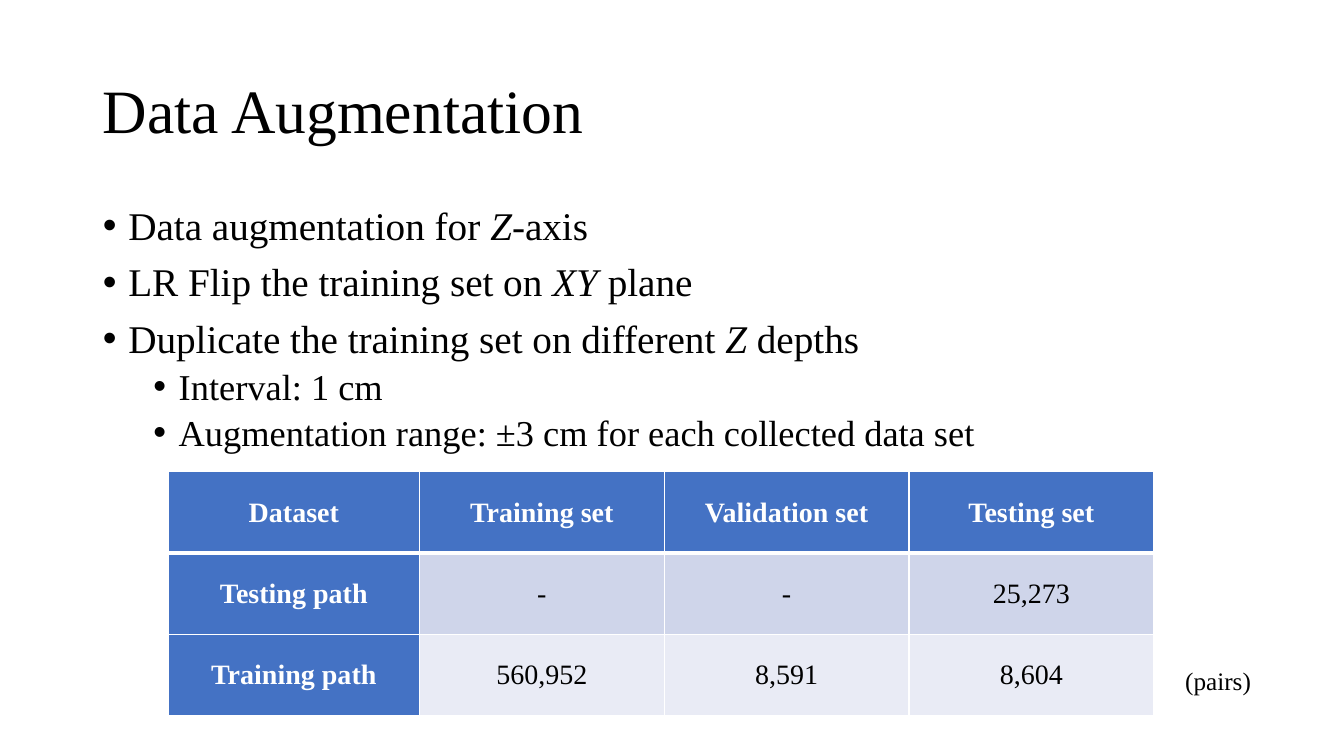
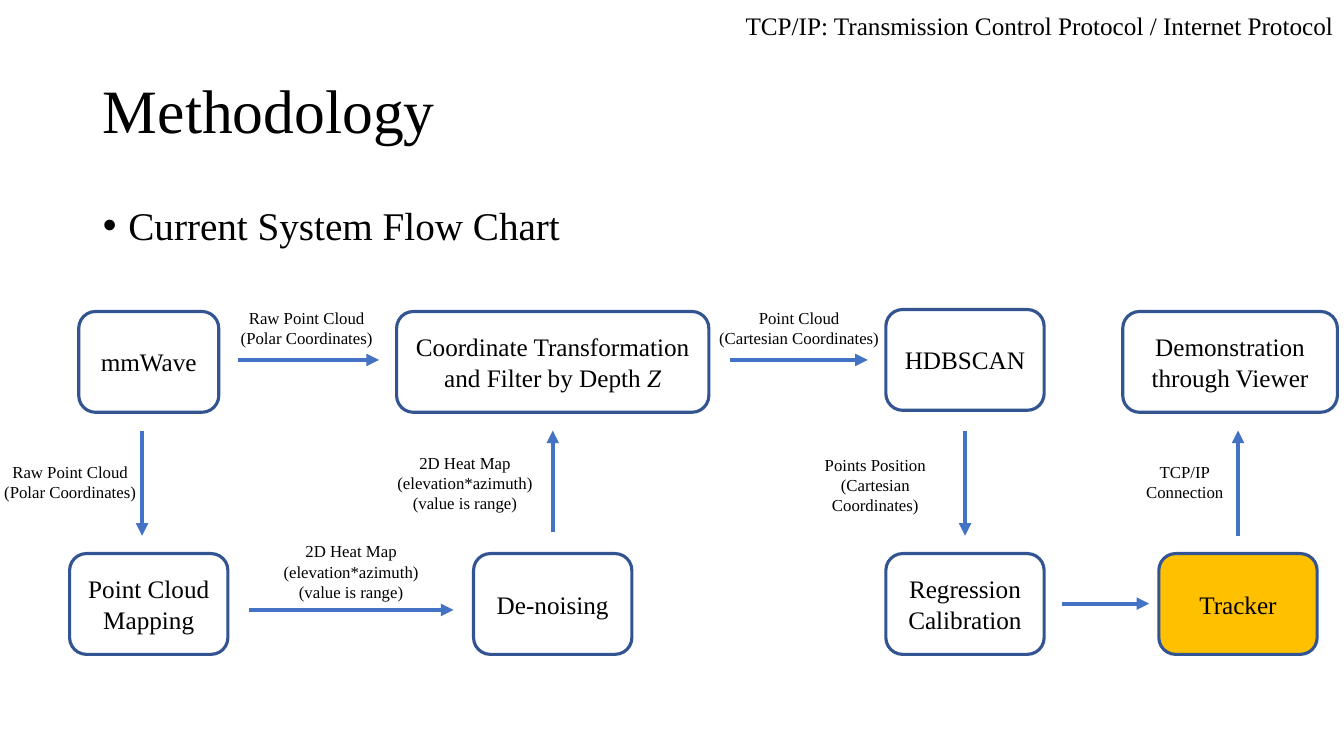
from lxml.etree import SubElement
from pptx import Presentation
from pptx.dml.color import RGBColor
from pptx.enum.shapes import MSO_CONNECTOR, MSO_SHAPE
from pptx.enum.text import MSO_ANCHOR, MSO_AUTO_SIZE, PP_ALIGN
from pptx.oxml.ns import qn
from pptx.util import Cm, Pt

FONT = "Times New Roman"
BLACK, WHITE = "000000", "FFFFFF"
BLUE, NAVY, GOLD = "4472C4", "325491", "FFC000"
BANDS = ["CFD5EA", "E9EBF5"]
TITLE_BOX = (2.34, 1.02, 29.21, 3.68)
BODY_BOX = (2.34, 5.08, 29.21, 12.09)
TABLE_BOX = (4.24, 11.89, 24.84, 6.15)
FLOW_BOX = (1.75, 7.8, 32, 8.7)
LEVELS = [(28, 0.64, 10), (26, 1.91, 5)]


def rgb(value):
    """Turn a hex string into a colour."""
    return RGBColor.from_string(value)


def cm(*values):
    """Turn centimetre numbers into lengths."""
    return [Cm(v) for v in values]


def write(p, text, size, color=BLACK, bold=False):
    """Add text as runs, with the parts between underscores in italics."""
    for i, part in enumerate(text.split("_")):
        if part:
            r = p.add_run()
            r.text = part
            font = r.font
            font.name, font.size = FONT, Pt(size)
            font.bold, font.italic = bold, i % 2 == 1
            font.color.rgb = rgb(color)


def write_lines(tf, lines, size, align=PP_ALIGN.CENTER):
    """Fill a text frame with one paragraph per line."""
    tf.word_wrap = True
    tf.vertical_anchor = MSO_ANCHOR.MIDDLE
    for i, line in enumerate(lines):
        p = tf.add_paragraph() if i else tf.paragraphs[0]
        p.alignment = align
        write(p, line, size)


def place(sp, box):
    """Move a placeholder to its box and fix its text size."""
    sp.left, sp.top, sp.width, sp.height = cm(*box)
    tf = sp.text_frame
    tf.word_wrap, tf.auto_size = True, MSO_AUTO_SIZE.NONE
    return tf


def add_title(s, text):
    """Fill the title placeholder."""
    tf = place(s.shapes.title, TITLE_BOX)
    tf.vertical_anchor = MSO_ANCHOR.MIDDLE
    p = tf.paragraphs[0]
    p.alignment, p.line_spacing = PP_ALIGN.LEFT, 0.9
    write(p, text, 44)


def add_bullets(s, items):
    """Fill the body placeholder with a list of (level, text) items."""
    tf = place(s.placeholders[1], BODY_BOX)
    for i, (level, text) in enumerate(items):
        size, indent, before = LEVELS[level]
        p = tf.add_paragraph() if i else tf.paragraphs[0]
        p.level, p.line_spacing = level, 0.9
        p.space_before = Pt(before if i else 0)
        pPr = p._p.get_or_add_pPr()
        pPr.set("marL", str(Cm(indent)))
        pPr.set("indent", str(-Cm(0.64)))
        SubElement(pPr, qn("a:buFont"), typeface="Arial")
        SubElement(pPr, qn("a:buChar"), char="•")
        write(p, text, size)


def content_slide(prs, title, items):
    """Add a slide with a title and a bulleted list."""
    s = prs.slides.add_slide(prs.slide_layouts[1])
    add_title(s, title)
    add_bullets(s, items)
    return s


def add_text(s, box, lines, size, align=PP_ALIGN.LEFT):
    """Add a text box."""
    sp = s.shapes.add_textbox(*cm(*box))
    write_lines(sp.text_frame, lines, size, align)


def add_borders(cell, row):
    """Draw white cell borders, thicker below the header row."""
    tcPr = cell._tc.get_or_add_tcPr()
    for i, side in enumerate("LRTB"):
        thick = (row, side) in [(0, "B"), (1, "T")]
        ln = SubElement(tcPr, qn(f"a:ln{side}"), w=str(Pt(3 if thick else 1)))
        fill = SubElement(ln, qn("a:solidFill"))
        SubElement(fill, qn("a:srgbClr"), val=WHITE)
        tcPr.insert(i, ln)


def add_data_table(s, box, rows):
    """Add a table with a header row, a header column and banded rows."""
    first = 6.33
    count = len(rows[0])
    table = s.shapes.add_table(len(rows), count, *cm(*box)).table
    for c, column in enumerate(table.columns):
        column.width = Cm((box[2] - first) / (count - 1) if c else first)
    for r, values in enumerate(rows):
        table.rows[r].height = Cm(box[3] / len(rows))
        for c, value in enumerate(values):
            header = r == 0 or c == 0
            cell = table.cell(r, c)
            cell.fill.solid()
            cell.fill.fore_color.rgb = rgb(BLUE if header else BANDS[(r - 1) % 2])
            cell.vertical_anchor = MSO_ANCHOR.MIDDLE
            cell.margin_left = cell.margin_right = Cm(0.3)
            cell.margin_top = cell.margin_bottom = 0
            add_borders(cell, r)
            p = cell.text_frame.paragraphs[0]
            p.alignment = PP_ALIGN.CENTER
            write(p, value, 20, WHITE if header else BLACK, header)


def add_node(s, box, lines, fill=None):
    """Add a rounded step of the flow chart."""
    sp = s.shapes.add_shape(MSO_SHAPE.ROUNDED_RECTANGLE, *cm(*box))
    sp.shadow.inherit = False
    if fill:
        sp.fill.solid()
        sp.fill.fore_color.rgb = rgb(fill)
    else:
        sp.fill.background()
    sp.line.color.rgb, sp.line.width = rgb(NAVY), Pt(2.25)
    write_lines(sp.text_frame, lines, 18)


def add_arrow(s, x1, y1, x2, y2):
    """Add a straight arrow."""
    cxn = s.shapes.add_connector(MSO_CONNECTOR.STRAIGHT, *cm(x1, y1, x2, y2))
    cxn.line.color.rgb, cxn.line.width = rgb(BLUE), Pt(3)
    spPr = cxn._element.spPr
    SubElement(spPr.find(qn("a:ln")), qn("a:tailEnd"), type="triangle")
    SubElement(spPr, qn("a:effectLst"))


def add_flow_chart(s, box):
    """Draw the steps, arrows and labels of the flow chart."""
    left, top = box[:2]
    upper, lower, height = 0.05, 6.15, 2.54
    cols = [2, 12.18, 22.57, 29.45]
    raw = ["Raw Point Cloud", "(Polar Coordinates)"]
    heat = ["2D Heat Map", "(elevation*azimuth)", "(value is range)"]
    nodes = [
        (cols[0], upper, 3.53, ["mmWave"]),
        (cols[1], upper, 7.87, ["Coordinate Transformation", "and Filter by Depth _Z_"]),
        (cols[2], 0, 3.99, ["HDBSCAN"]),
        (29.25, upper, 5.41, ["Demonstration", "through Viewer"]),
        (cols[0], lower, 3.99, ["Point Cloud", "Mapping"]),
        (cols[1], lower, 3.99, ["De-noising"]),
        (cols[2], lower, 3.99, ["Regression", "Calibration"]),
        (cols[3], lower, 3.99, ["Tracker"], GOLD),
    ]
    arrows = [
        (4.25, 1.27, 7.8, 1.27),
        (16.64, 1.27, 20.12, 1.27),
        (1.83, 3.05, 1.83, 5.7),
        (cols[1], 5.6, cols[1], 3.05),
        (cols[2], 3.05, cols[2], 5.7),
        (cols[3], 5.7, cols[3], 3.05),
        (4.52, 7.57, 9.68, 7.57),
        (25.02, 7.41, 27.21, 7.41),
    ]
    labels = [
        (5.98, 0.47, 4.4, raw),
        (18.39, 0.47, 4.83, ["Point Cloud", "(Cartesian Coordinates)"]),
        (0.02, 4.35, 4.4, raw),
        (9.97, 4.37, 4.4, heat),
        (20.31, 4.42, 4.4, ["Points Position", "(Cartesian Coordinates)"]),
        (28.11, 4.35, 4.4, ["TCP/IP", "Connection"]),
        (7.1, 6.6, 4.4, heat),
    ]
    for x, y, width, lines, *fill in nodes:
        add_node(s, (left + x - width / 2, top + y, width, height), lines, *fill)
    for x1, y1, x2, y2 in arrows:
        add_arrow(s, left + x1, top + y1, left + x2, top + y2)
    for x, y, width, lines in labels:
        label_box = (left + x - width / 2, top + y - 1, width, 2)
        add_text(s, label_box, lines, 12, PP_ALIGN.CENTER)


def augmentation_slide(prs):
    """Build the data augmentation slide."""
    s = content_slide(prs, "Data Augmentation", [
        (0, "Data augmentation for _Z_-axis"),
        (0, "LR Flip the training set on _XY_ plane"),
        (0, "Duplicate the training set on different _Z_ depths"),
        (1, "Interval: 1 cm"),
        (1, "Augmentation range: ±3 cm for each collected data set"),
    ])
    add_data_table(s, TABLE_BOX, [
        ["Dataset", "Training set", "Validation set", "Testing set"],
        ["Testing path", "-", "-", "25,273"],
        ["Training path", "560,952", "8,591", "8,604"],
    ])
    add_text(s, (29.62, 16.64, 2.69, 1.02), ["(pairs)"], 18)


def methodology_slide(prs):
    """Build the methodology slide."""
    s = content_slide(prs, "Methodology", [(0, "Current System Flow Chart")])
    note = "TCP/IP: Transmission Control Protocol / Internet Protocol"
    add_text(s, (18.54, 0.13, 15.62, 1.02), [note], 18)
    add_flow_chart(s, FLOW_BOX)


def main():
    """Build and save the presentation."""
    prs = Presentation()
    prs.slide_width, prs.slide_height = cm(33.87, 19.05)
    augmentation_slide(prs)
    methodology_slide(prs)
    prs.save("out.pptx")


if __name__ == "__main__":
    main()
